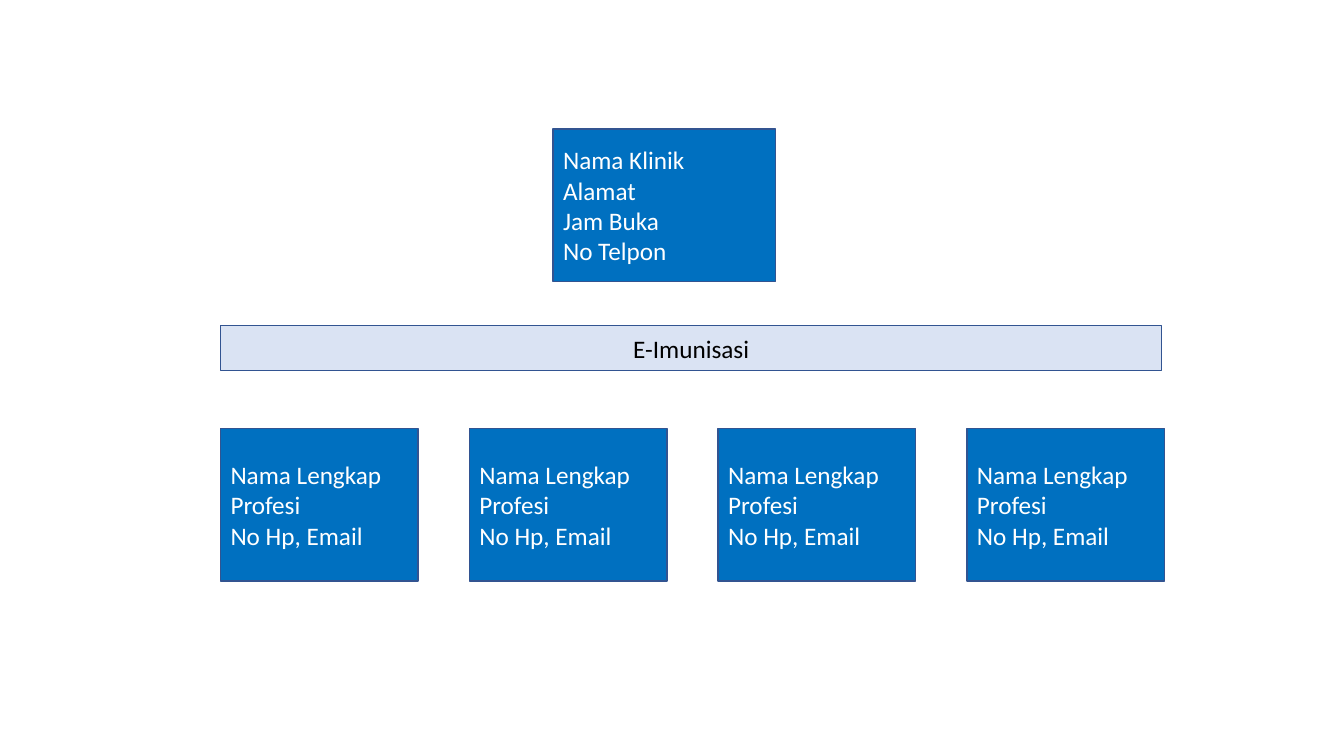
from dataclasses import dataclass

from pptx import Presentation
from pptx.dml.color import RGBColor
from pptx.enum.shapes import MSO_SHAPE
from pptx.enum.text import MSO_ANCHOR, PP_ALIGN
from pptx.util import Cm, Pt

RECT = MSO_SHAPE.RECTANGLE
MIDDLE = MSO_ANCHOR.MIDDLE
LEFT = PP_ALIGN.LEFT
CENTER = PP_ALIGN.CENTER


@dataclass(frozen=True)
class Theme:
    font: str = "Calibri"
    size: int = 18
    stroke: int = 1
    blue: str = "0070C0"
    pale: str = "DAE3F3"
    edge: str = "325491"
    white: str = "FFFFFF"
    black: str = "000000"


def write(frame, lines, *, font, size, color, align=LEFT):
    frame.word_wrap = True
    frame.vertical_anchor = MIDDLE
    for i, line in enumerate(lines):
        para = frame.paragraphs[0] if i == 0 else frame.add_paragraph()
        para.alignment = align
        run = para.add_run()
        run.text = line
        run.font.name = font
        run.font.size = Pt(size)
        run.font.color.rgb = RGBColor.from_string(color)


class Chart:
    def __init__(self, slide, theme):
        self.slide = slide
        self.theme = theme

    def box(self, x, y, w, h, lines, fill, color, align=LEFT):
        look = self.theme
        shape = self.slide.shapes.add_shape(RECT, Cm(x), Cm(y), Cm(w), Cm(h))
        shape.shadow.inherit = False
        shape.fill.solid()
        shape.fill.fore_color.rgb = RGBColor.from_string(fill)
        shape.line.color.rgb = RGBColor.from_string(look.edge)
        shape.line.width = Pt(look.stroke)
        write(shape.text_frame, lines, font=look.font, size=look.size,
              color=color, align=align)

    def card(self, x, y, w, lines):
        self.box(x, y, w, 3.84, lines, self.theme.blue, self.theme.white)

    def band(self, x, y, w, text):
        self.box(x, y, w, 1.14, [text], self.theme.pale, self.theme.black,
                 CENTER)


def main():
    deck = Presentation()
    deck.slide_width = Cm(33.87)
    deck.slide_height = Cm(19.05)
    chart = Chart(deck.slides.add_slide(deck.slide_layouts[6]), Theme())

    left, step = 5.56, 6.27
    clinic = ["Nama Klinik", "Alamat", "Jam Buka", "No Telpon"]
    person = ["Nama Lengkap", "Profesi", "No Hp, Email"]

    chart.card(13.94, 3.25, 5.61, clinic)
    chart.band(left, 8.2, 23.72, "E-Imunisasi")
    for i in range(4):
        chart.card(left + i * step, 10.8, 4.98, person)

    deck.save("out.pptx")


if __name__ == "__main__":
    main()
